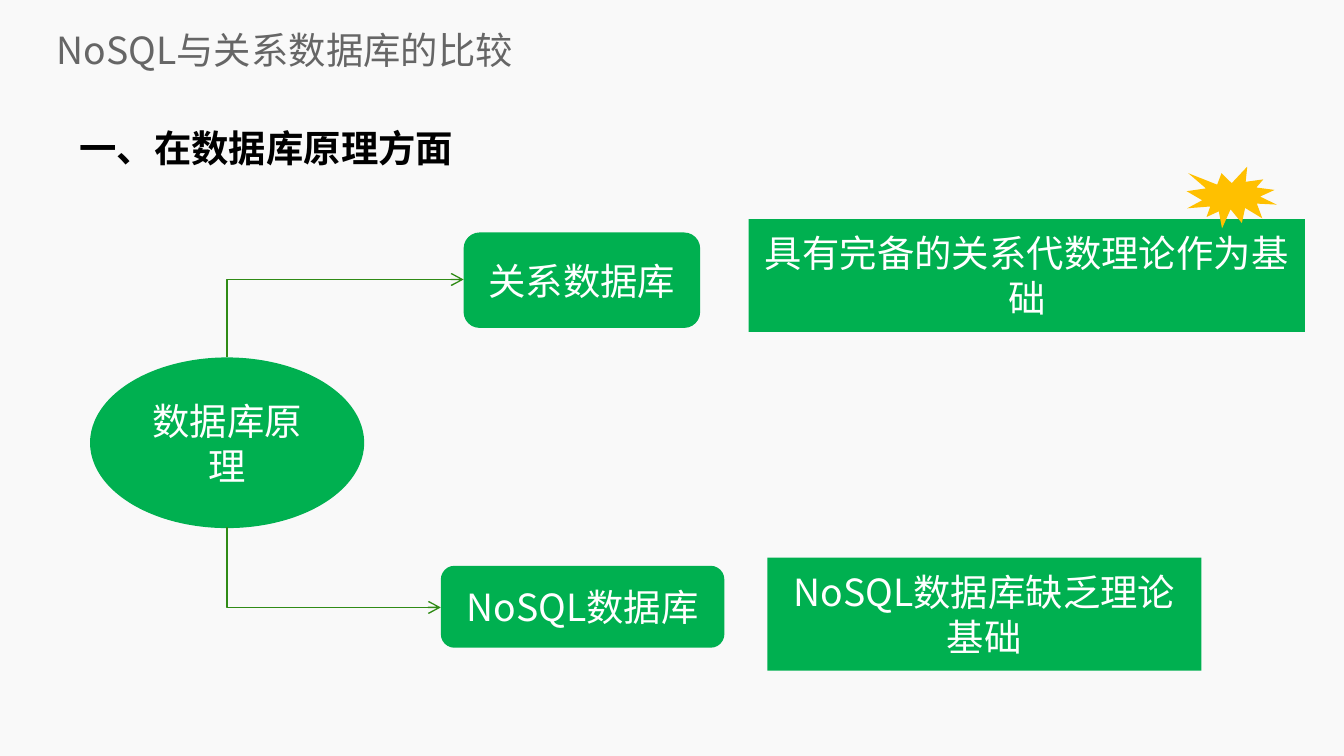
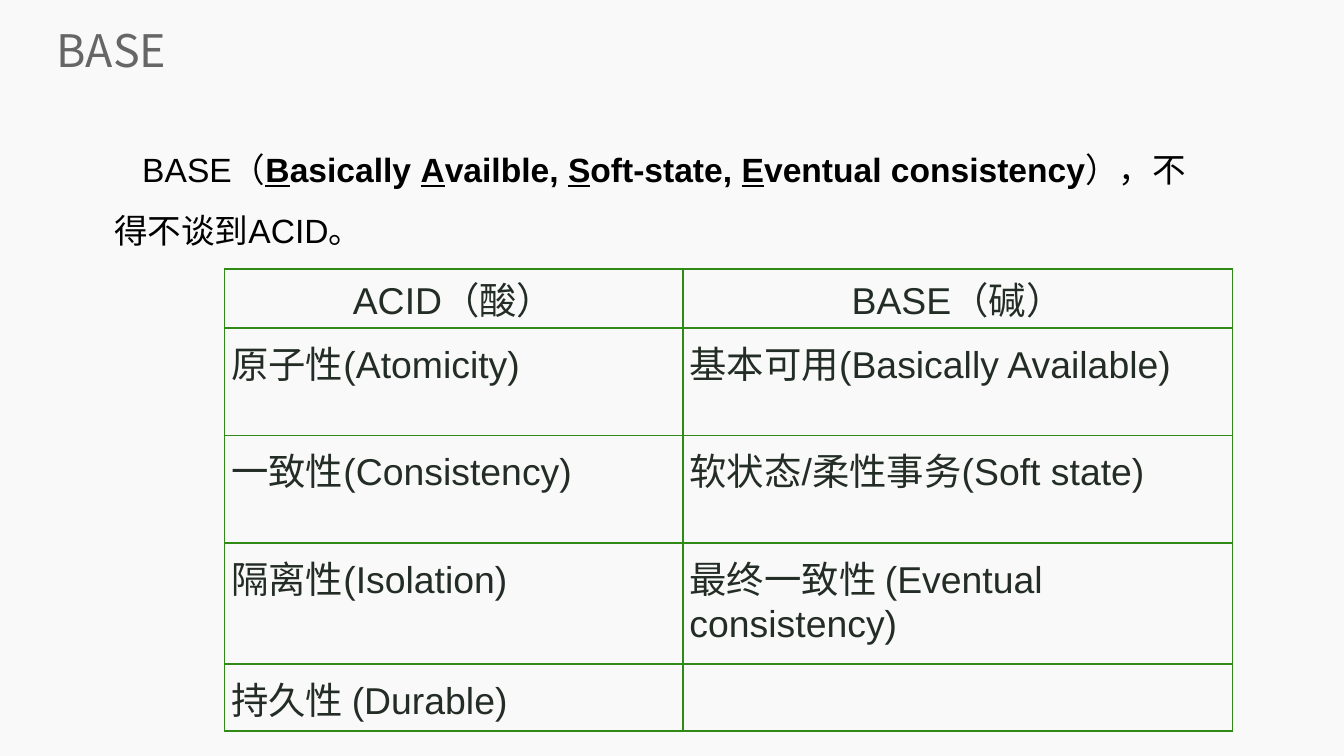
from typing import NamedTuple

from lxml.etree import SubElement
from pptx import Presentation
from pptx.dml.color import RGBColor
from pptx.enum.shapes import MSO_CONNECTOR, MSO_SHAPE
from pptx.enum.text import MSO_ANCHOR, PP_ALIGN
from pptx.oxml import parse_xml
from pptx.oxml.ns import nsdecls, qn
from pptx.util import Inches, Pt

# Shared look
SANS, ARIAL = "Noto Sans CJK SC", "Arial"
PAPER, GREY, BLACK, WHITE = "F9F9F9", "666666", "000000", "FFFFFF"
GREEN, EDGE, GOLD, INK = "00B050", "308B16", "FFC000", "232D26"


class Run(NamedTuple):
    text: str
    size: int = 20
    font: str = SANS
    tint: str = WHITE
    bold: bool = False
    under: bool = False


class Node(NamedTuple):
    kind: MSO_SHAPE
    box: tuple[float, float, float, float]
    text: str = ""
    fill: str = GREEN


class Link(NamedTuple):
    start: tuple[float, float]
    end: tuple[float, float]


def color(code: str) -> RGBColor:
    return RGBColor.from_string(code)


def write(para, runs: list[Run]) -> None:
    for item in runs:
        run = para.add_run()
        run.text = item.text
        font = run.font
        font.name, font.size = item.font, Pt(item.size)
        font.bold = item.bold
        font.underline = item.under
        font.color.rgb = color(item.tint)
        SubElement(run._r.get_or_add_rPr(), qn("a:ea")).set("typeface", SANS)


def add_text(slide, box, runs: list[Run], inset: bool = False,
             anchor=MSO_ANCHOR.TOP, space: float = 1.0):
    frame = slide.shapes.add_textbox(*map(Inches, box)).text_frame
    frame.word_wrap = True
    frame.vertical_anchor = anchor
    if not inset:
        frame.margin_left = frame.margin_right = 0
        frame.margin_top = frame.margin_bottom = 0
    para = frame.paragraphs[0]
    para.line_spacing = space
    write(para, runs)
    return para


def add_page(deck, title: str, size: int):
    slide = deck.slides.add_slide(deck.slide_layouts[6])
    slide.background.fill.solid()
    slide.background.fill.fore_color.rgb = color(PAPER)
    add_text(slide, (0.42, 0.18, 9.43, 0.38), [Run(title, size, tint=GREY)],
             anchor=MSO_ANCHOR.MIDDLE)
    return slide


def add_node(slide, node: Node) -> None:
    shape = slide.shapes.add_shape(node.kind, *map(Inches, node.box))
    shape.shadow.inherit = False
    shape.fill.solid()
    shape.fill.fore_color.rgb = color(node.fill)
    shape.line.fill.background()
    if node.text:
        frame = shape.text_frame
        frame.word_wrap = True
        frame.vertical_anchor = MSO_ANCHOR.MIDDLE
        frame.paragraphs[0].alignment = PP_ALIGN.CENTER
        write(frame.paragraphs[0], [Run(node.text)])


def add_link(slide, link: Link) -> None:
    """Leave vertically, turn once, and arrive from the left."""
    (x1, y1), (x2, y2) = link
    wide, high = abs(y2 - y1), abs(x2 - x1)
    left, top = (x1 + x2 - wide) / 2, (y1 + y2 - high) / 2
    line = slide.shapes.add_connector(
        MSO_CONNECTOR.ELBOW, Inches(left), Inches(top),
        Inches(left + wide), Inches(top + high))
    line.line.color.rgb = color(EDGE)
    line.line.width = Pt(0.75)
    props = line._element.spPr
    props.find(qn("a:prstGeom")).set("prst", "bentConnector2")
    # The frame is turned on its side, so width and height swap
    frame = props.find(qn("a:xfrm"))
    rising = y2 < y1
    frame.set("rot", str((90 if rising else 270) * 60000))
    frame.set("flipH", "1")
    if rising:
        frame.set("flipV", "1")
    SubElement(props.find(qn("a:ln")), qn("a:tailEnd")).set("type", "arrow")
    SubElement(props, qn("a:effectLst"))


def add_border(cell) -> None:
    props = cell._tc.get_or_add_tcPr()
    for spot, side in enumerate(("lnL", "lnR", "lnT", "lnB")):
        props.insert(spot, parse_xml(
            f'<a:{side} {nsdecls("a")} w="{Pt(1)}"><a:solidFill>'
            f'<a:srgbClr val="{EDGE}"/></a:solidFill></a:{side}>'))


def add_grid(slide, rows: list[tuple[str, str]]) -> None:
    cols, heights = (3.41, 4.09), (0.44, 0.8, 0.8, 0.9, 0.5)
    grid = slide.shapes.add_table(
        len(rows), len(cols), Inches(1.67), Inches(2),
        Inches(sum(cols)), Inches(sum(heights))).table
    grid.first_row = grid.horz_banding = False
    for col, width in zip(grid.columns, cols):
        col.width = Inches(width)
    for r, (words, height) in enumerate(zip(rows, heights)):
        grid.rows[r].height = Inches(height)
        side, edge = (0.03, 0.02) if r == 0 else (0.05, 0.05)
        for c, text in enumerate(words):
            cell = grid.cell(r, c)
            cell.fill.background()
            cell.margin_left = cell.margin_right = Inches(side)
            cell.margin_top = cell.margin_bottom = Inches(edge)
            add_border(cell)
            para = cell.text_frame.paragraphs[0]
            if r == 0:
                para.alignment = PP_ALIGN.CENTER
            if text:
                write(para, [Run(text, font=ARIAL, tint=INK)])


def draw_theory(deck) -> None:
    slide = add_page(deck, "NoSQL与关系数据库的比较", 20)
    add_text(slide, (0.59, 0.8, 7.49, 0.83),
             [Run("一、在数据库原理方面", tint=BLACK, bold=True)], space=1.4)
    # Root, branches and remarks
    nodes = [
        Node(MSO_SHAPE.OVAL, (0.67, 2.66, 2.04, 1.27), "数据库原理"),
        Node(MSO_SHAPE.ROUNDED_RECTANGLE, (3.45, 1.73, 1.76, 0.71),
             "关系数据库"),
        Node(MSO_SHAPE.ROUNDED_RECTANGLE, (3.28, 4.21, 2.11, 0.61),
             "NoSQL数据库"),
        Node(MSO_SHAPE.RECTANGLE, (5.57, 1.63, 4.14, 0.84),
             "具有完备的关系代数理论作为基础"),
        Node(MSO_SHAPE.RECTANGLE, (5.71, 4.15, 3.23, 0.84),
             "NoSQL数据库缺乏理论基础"),
        Node(MSO_SHAPE.EXPLOSION1, (8.83, 1.24, 0.67, 0.46), fill=GOLD),
    ]
    for node in nodes:
        add_node(slide, node)
    for link in (Link((1.69, 2.66), (3.45, 2.08)),
                 Link((1.69, 3.92), (3.28, 4.52))):
        add_link(slide, link)


def draw_base(deck) -> None:
    slide = add_page(deck, "BASE", 24)
    add_grid(slide, [
        ("ACID（酸）", "BASE（碱）"),
        ("原子性(Atomicity)", "基本可用(Basically Available)"),
        ("一致性(Consistency)", "软状态/柔性事务(Soft state)"),
        ("隔离性(Isolation)", "最终一致性 (Eventual consistency)"),
        ("持久性 (Durable)", ""),
    ])
    # Intro with underlined initials
    plain = Run("BASE（", 18, ARIAL, BLACK)
    runs = [plain]
    for term in ("Basically ", "Availble, ", "Soft-state, ",
                 "Eventual consistency"):
        runs += [plain._replace(text=term[0], bold=True, under=True),
                 plain._replace(text=term[1:], bold=True)]
    runs.append(plain._replace(text="），不得不谈到ACID。"))
    para = add_text(slide, (0.75, 0.91, 8.42, 1.01), runs, inset=True,
                    space=1.5)
    para._p.get_or_add_pPr().set("indent", str(Inches(0.21)))


def main() -> None:
    deck = Presentation()
    # Widescreen, 16 to 9
    deck.slide_width = Inches(10)
    deck.slide_height = Inches(10 * 9 / 16)
    draw_theory(deck)
    draw_base(deck)
    deck.save("out.pptx")


if __name__ == "__main__":
    main()
